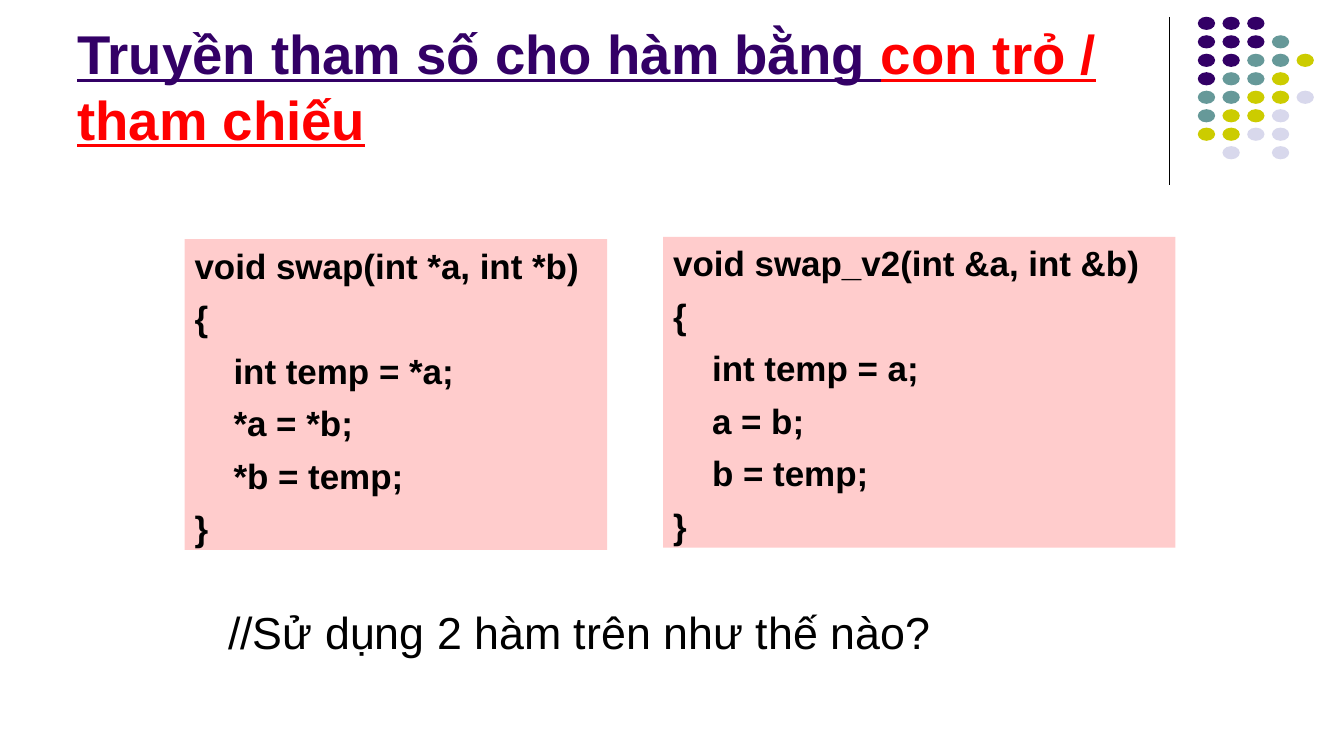
"""Build the slide on passing parameters by pointer and by reference."""
import pptx
import pptx.util
import pptx.dml.color
import pptx.enum.shapes
import pptx.enum.text
import pptx.oxml.ns
import lxml.etree

Pt = pptx.util.Pt
RGB = pptx.dml.color.RGBColor.from_string
SHAPES = pptx.enum.shapes.MSO_SHAPE
ANCHOR = pptx.enum.text.MSO_ANCHOR

COLOURS = {
    "purple": "330066", "teal": "669999", "olive": "CCCC00",
    "lavender": "D8D8EC", "red": "FF0000", "pink": "FFCCCC", "black": "000000",
}


def add_text(paragraph, text, colour, **formats):
    run = paragraph.add_run()
    run.text = text
    run.font.color.rgb = RGB(COLOURS[colour])
    for name, value in {"name": "Arial", **formats}.items():
        setattr(run.font, name, value)


def add_filled(kind, left, top, width, height, colour):
    shape = slide.shapes.add_shape(kind, Pt(left), Pt(top), Pt(width), Pt(height))
    shape.shadow.inherit = False
    shape.fill.solid()
    shape.fill.fore_color.rgb = RGB(COLOURS[colour])
    shape.line.fill.background()
    return shape


deck = pptx.Presentation()
deck.slide_width, deck.slide_height = Pt(960.5), Pt(540)
slide = deck.slides.add_slide(deck.slide_layouts[5])

divider = slide.shapes.add_connector(
    pptx.enum.shapes.MSO_CONNECTOR.STRAIGHT, Pt(836), Pt(12), Pt(836), Pt(132))
divider.line.color.rgb = RGB(COLOURS["black"])
divider.line.width = Pt(0.75)
lxml.etree.SubElement(divider._element.spPr, pptx.oxml.ns.qn("a:effectLst"))

dot_colours = {"P": "purple", "T": "teal", "O": "olive", "L": "lavender"}
dot_rows = ["PPP", "PPPT", "PPTTO", "PTTO", "TTOOL", "TOOL", "OOLL", " L L"]
for row, letters in enumerate(dot_rows):
    for column, letter in enumerate(letters):
        if letter in dot_colours:
            add_filled(SHAPES.OVAL, 856 + 17.65 * column, 12 + 13.2 * row,
                       12.4, 9.4, dot_colours[letter])

heading = slide.shapes.title
heading.left, heading.top, heading.width, heading.height = Pt(48), Pt(9.5), Pt(792), Pt(102)
heading.text_frame.vertical_anchor = ANCHOR.BOTTOM
heading_line = heading.text_frame.paragraphs[0]
heading_line.alignment = pptx.enum.text.PP_ALIGN.LEFT
heading_style = {"size": Pt(39), "bold": True, "underline": True}
add_text(heading_line, "Truyền tham số cho hàm bằng ", "purple", **heading_style)
add_text(heading_line, "con trỏ / tham chiếu", "red", **heading_style)

swap_functions = [
    (132, 170.8, 302, "void swap(int *a, int *b)", ["int temp = *a;", "*a = *b;", "*b = temp;"]),
    (474, 169.2, 366, "void swap_v2(int &a, int &b)", ["int temp = a;", "a = b;", "b = temp;"]),
]
for left, top, width, signature, statements in swap_functions:
    code = add_filled(SHAPES.RECTANGLE, left, top, width, 222, "pink").text_frame
    code.word_wrap = True
    code.vertical_anchor = ANCHOR.TOP
    for number, line in enumerate([signature, "{", *statements, "}"]):
        paragraph = code.paragraphs[0] if number == 0 else code.add_paragraph()
        paragraph.alignment = pptx.enum.text.PP_ALIGN.LEFT
        paragraph.space_before = Pt(7.5)
        if line in statements:
            paragraph._p.get_or_add_pPr().set("marL", str(Pt(27.8)))
        add_text(paragraph, line, "black", size=Pt(25), bold=True)

question = slide.shapes.add_textbox(Pt(156), Pt(428.5), Pt(618), Pt(46)).text_frame
question.word_wrap = True
add_text(question.paragraphs[0], "//Sử dụng 2 hàm trên như thế nào?", "black", size=Pt(32))

deck.save("out.pptx")
